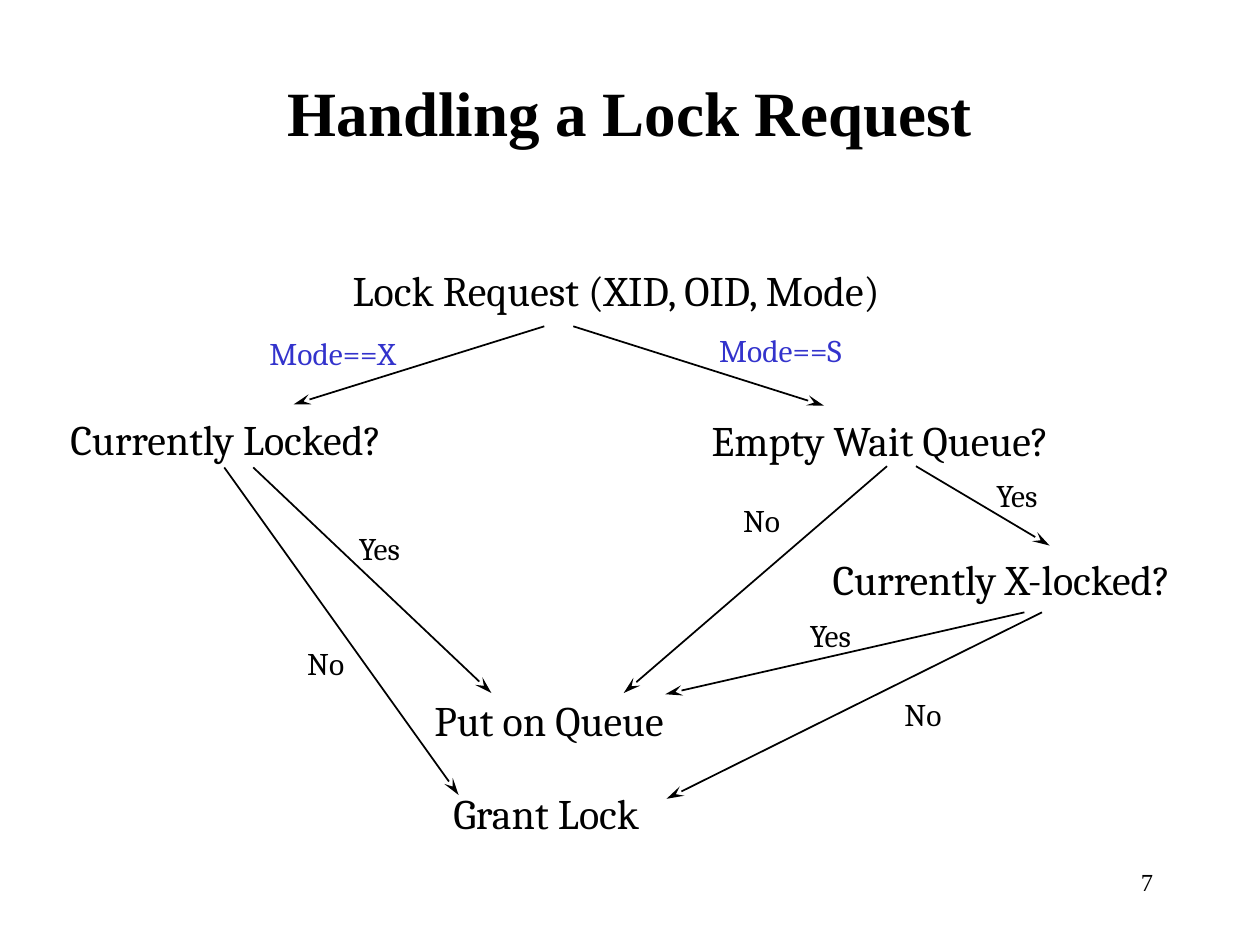
"""Build a slide with the decision tree for handling a lock request."""
from dataclasses import dataclass

from lxml.etree import SubElement
from pptx import Presentation
from pptx.dml.color import RGBColor
from pptx.enum.shapes import MSO_CONNECTOR
from pptx.enum.text import MSO_ANCHOR, PP_ALIGN
from pptx.oxml.ns import qn
from pptx.util import Inches, Pt


@dataclass(frozen=True)
class Theme:
    ink: RGBColor = RGBColor(0x00, 0x00, 0x00)
    accent: RGBColor = RGBColor(0x33, 0x33, 0xCC)
    paper: RGBColor = RGBColor(0xFF, 0xFF, 0xFF)
    serif: str = "Times New Roman"
    body: str = "Cambria"
    title_size: int = 36
    step_size: int = 24
    label_size: int = 18
    number_size: int = 14
    line_width: int = 1


theme = Theme()


def write(shape, text, size, font_name, color, align=PP_ALIGN.LEFT, bold=False):
    shape.text_frame.word_wrap = True
    paragraph = shape.text_frame.paragraphs[0]
    paragraph.alignment = align
    run = paragraph.add_run()
    run.text = text
    run.font.size = Pt(size)
    run.font.name = font_name
    run.font.bold = bold
    run.font.color.rgb = color


presentation = Presentation()
presentation.slide_width = Inches(10)
presentation.slide_height = Inches(7.5)
slide = presentation.slides.add_slide(presentation.slide_layouts[5])
slide.background.fill.solid()
slide.background.fill.fore_color.rgb = theme.paper

title = slide.shapes.title
title.left, title.top = Inches(0.75), Inches(0.42)
title.width, title.height = Inches(8.5), Inches(0.92)
title.text_frame.vertical_anchor = MSO_ANCHOR.MIDDLE
write(title, "Handling a Lock Request", theme.title_size, theme.serif, theme.ink,
      PP_ALIGN.CENTER, True)

steps = [
    ("Lock Request (XID, OID, Mode)", 2.7, 2.05, 5.05),
    ("Currently Locked?", 0.46, 3.23, 3.12),
    ("Empty Wait Queue?", 5.55, 3.24, 3.35),
    ("Currently X-locked?", 6.51, 4.34, 3.34),
    ("Put on Queue", 3.35, 5.46, 2.34),
    ("Grant Lock", 3.5, 6.2, 1.96),
]
for text, left, top, width in steps:
    step = slide.shapes.add_textbox(Inches(left), Inches(top), Inches(width), Inches(0.5))
    write(step, text, theme.step_size, theme.body, theme.ink)

branches = [
    ("Mode==X", 2.04, 2.6, 1.31, (4.32, 2.59), (2.33, 3.21)),
    ("Mode==S", 5.61, 2.58, 1.28, (4.55, 2.59), (6.54, 3.22)),
    ("No", 2.34, 5.06, 0.54, (1.78, 3.71), (3.64, 6.31)),
    ("Yes", 2.75, 4.15, 0.61, (2.01, 3.71), (3.9, 5.5)),
    ("No", 5.8, 3.93, 0.54, (7.04, 3.7), (4.95, 5.5)),
    ("Yes", 7.81, 3.73, 0.61, (7.27, 3.7), (8.33, 4.33)),
    ("Yes", 6.33, 4.84, 0.61, (8.13, 4.86), (5.28, 5.51)),
    ("No", 7.08, 5.47, 0.54, (8.27, 4.86), (5.29, 6.34)),
]
for text, left, top, width, start, end in branches:
    arrow = slide.shapes.add_connector(
        MSO_CONNECTOR.STRAIGHT, *[Inches(value) for value in start + end])
    arrow.line.color.rgb = theme.ink
    arrow.line.width = Pt(theme.line_width)
    SubElement(arrow.line._get_or_add_ln(), qn("a:tailEnd"), type="stealth", w="med", len="lg")
    SubElement(arrow._element.spPr, qn("a:effectLst"))

    label = slide.shapes.add_textbox(Inches(left), Inches(top), Inches(width), Inches(0.4))
    color = theme.accent if text.startswith("Mode") else theme.ink
    write(label, text, theme.label_size, theme.body, color)

page_number = slide.shapes.add_textbox(Inches(7.17), Inches(6.83), Inches(2.08), Inches(0.5))
write(page_number, "7", theme.number_size, theme.serif, theme.ink, PP_ALIGN.RIGHT)

presentation.save("out.pptx")
